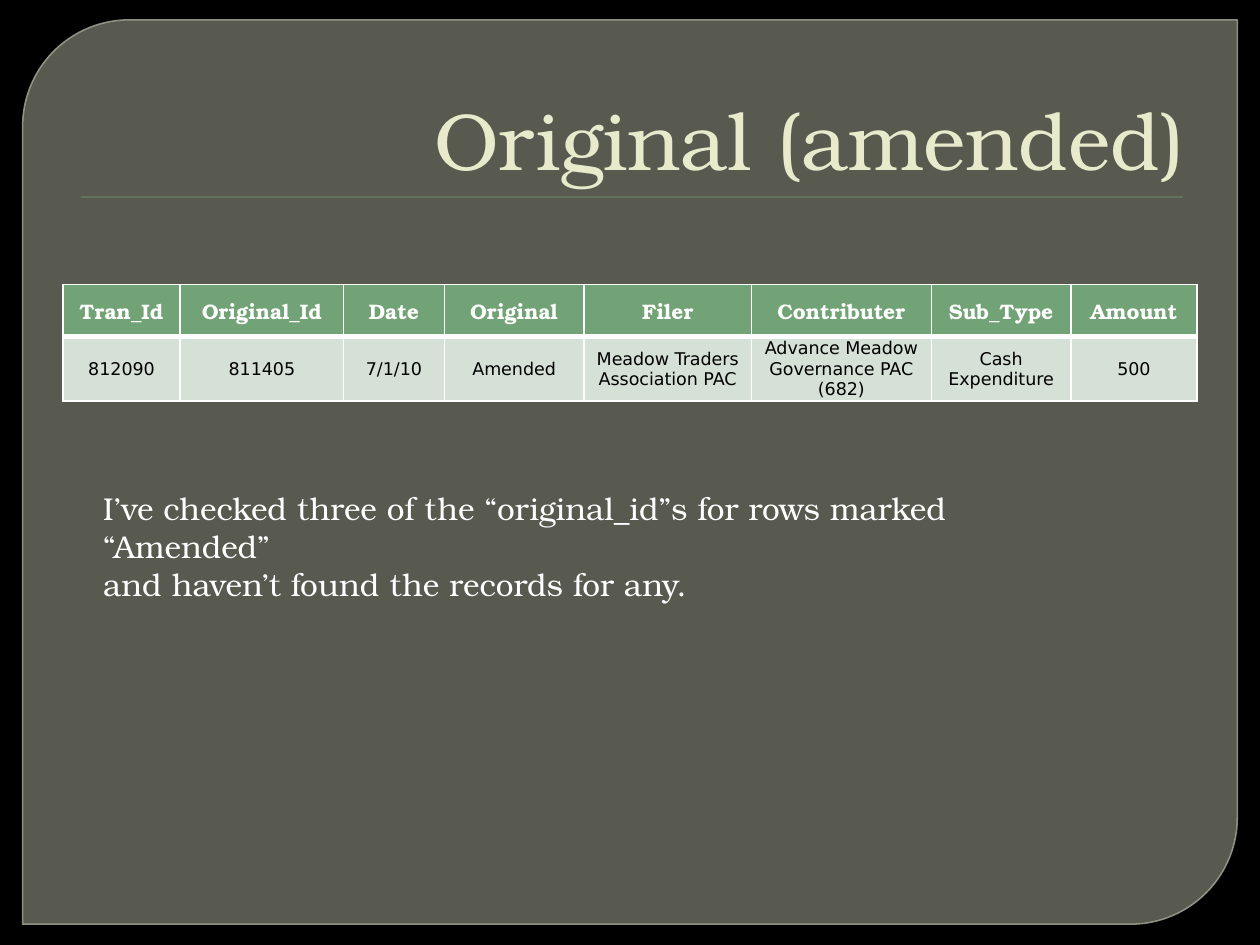
from lxml.etree import SubElement
from pptx import Presentation
from pptx.dml.color import RGBColor
from pptx.enum.shapes import MSO_SHAPE
from pptx.enum.text import MSO_ANCHOR, PP_ALIGN
from pptx.oxml.ns import qn
from pptx.util import Inches, Pt

WIDTH, HEIGHT = Inches(10), Inches(7.5)
COLORS = {
    "backdrop": "000000", "panel": "888B7B", "outline": "9DA090",
    "green": "72A376", "pale": "D5E0D6", "title": "E7EACB",
    "white": "FFFFFF", "black": "000000",
}
SERIF, SANS = "TeX Gyre Bonum", "DejaVu Sans"
FORMATS = {
    "title": {"size": Pt(46), "name": SERIF, "color": "title"},
    "note": {"size": Pt(18), "name": SERIF, "color": "white"},
    "header": {"size": Pt(12), "name": SERIF, "color": "white", "bold": True},
    "body": {"size": Pt(10), "name": SANS, "color": "black", "bold": False},
}
CELL_STYLES = {
    "header": {"fill": "green", "borders": {"L": 1, "R": 1, "T": 1, "B": 3}, "margins": {}},
    "body": {"fill": "pale", "borders": {"L": 1, "R": 1, "T": 3, "B": 1},
             "margins": {"margin_left": Inches(0.01), "margin_right": Inches(0.01),
                         "margin_top": Inches(0.01), "margin_bottom": 0}},
}
COLUMNS = [
    ("Tran_Id", "812090", 0.93), ("Original_Id", "811405", 1.3),
    ("Date", "7/1/10", 0.8), ("Original", "Amended", 1.11),
    ("Filer", "Meadow Traders Association PAC", 1.33),
    ("Contributer", "Advance Meadow Governance PAC (682)", 1.43),
    ("Sub_Type", "Cash Expenditure", 1.11), ("Amount", "500", 1),
]
NOTE = [
    "I’ve checked three of the “original_id”s for rows marked “Amended”",
    "and haven’t found the records for any.",
]
BOXES = {
    "panel": (0.018, 0.021, 0.964, 0.957),
    "rule": (0.064, 0.208, 0.875, 0.001),
    "title": (0.05, 0.037, 0.9, 0.167),
    "table": (0.05, 0.301, 0.9, 0.11),
    "note": (0.072, 0.511, 0.813, 0.095),
}


def place(name):
    """Turn a named box of slide shares into lengths."""
    left, top, width, height = BOXES[name]
    return int(left * WIDTH), int(top * HEIGHT), int(width * WIDTH), int(height * HEIGHT)


def color(name):
    """Look up a palette colour."""
    return RGBColor.from_string(COLORS[name])


def set_alpha(fill_owner, percent):
    """Make the solid colour of a fill or line partly transparent."""
    swatch = next(fill_owner.iter(qn("a:srgbClr")))
    SubElement(swatch, qn("a:alpha"), val=str(percent * 1000))


def write(frame, lines, style, alignment):
    """Write formatted paragraphs into a text frame."""
    for index, line in enumerate(lines):
        paragraph = frame.add_paragraph() if index else frame.paragraphs[0]
        paragraph.alignment = alignment
        run = paragraph.add_run()
        run.text = line
        for attribute, value in FORMATS[style].items():
            if attribute == "color":
                run.font.color.rgb = color(value)
            else:
                setattr(run.font, attribute, value)


def add_panel(slide, box):
    """Draw the translucent panel with two rounded corners."""
    shape = slide.shapes.add_shape(MSO_SHAPE.ROUND_2_DIAG_RECTANGLE, *box)
    shape.shadow.inherit = False
    shape.adjustments[0] = 0.118
    shape.adjustments[1] = 0
    shape.fill.solid()
    shape.fill.fore_color.rgb = color("panel")
    set_alpha(shape.element.spPr, 65)
    shape.line.color.rgb = color("outline")
    shape.line.width = Pt(0.87)
    set_alpha(shape.element.spPr.find(qn("a:ln")), 88)


def add_rule(slide, box):
    """Draw the thin bar under the title."""
    shape = slide.shapes.add_shape(MSO_SHAPE.RECTANGLE, *box)
    shape.shadow.inherit = False
    shape.fill.solid()
    shape.fill.fore_color.rgb = color("green")
    shape.line.fill.background()


def add_text(slide, box, lines, style, alignment, anchor):
    """Add a wrapping text box."""
    frame = slide.shapes.add_textbox(*box).text_frame
    frame.word_wrap = True
    frame.vertical_anchor = anchor
    write(frame, lines, style, alignment)


def style_cell(cell, text, style):
    """Fill one table cell with text, borders and colour."""
    settings = CELL_STYLES[style]
    write(cell.text_frame, [text], style, PP_ALIGN.CENTER)
    cell.vertical_anchor = MSO_ANCHOR.MIDDLE
    for attribute, value in settings["margins"].items():
        setattr(cell, attribute, value)
    properties = cell._tc.get_or_add_tcPr()
    for side, points in settings["borders"].items():
        line = SubElement(properties, qn(f"a:ln{side}"), w=str(Pt(points)))
        fill = SubElement(line, qn("a:solidFill"))
        SubElement(fill, qn("a:srgbClr"), val=COLORS["white"])
    cell.fill.solid()
    cell.fill.fore_color.rgb = color(settings["fill"])


def add_record_table(slide, box):
    """Add the table with one header row and one record."""
    table = slide.shapes.add_table(2, len(COLUMNS), *box).table
    total = sum(share for _, _, share in COLUMNS)
    for index, (heading, value, share) in enumerate(COLUMNS):
        table.columns[index].width = int(box[2] * share / total)
        style_cell(table.cell(0, index), heading, "header")
        style_cell(table.cell(1, index), value, "body")


def main():
    """Build the slide and save it."""
    presentation = Presentation()
    presentation.slide_width, presentation.slide_height = WIDTH, HEIGHT
    slide = presentation.slides.add_slide(presentation.slide_layouts[6])
    slide.background.fill.solid()
    slide.background.fill.fore_color.rgb = color("backdrop")
    add_panel(slide, place("panel"))
    add_rule(slide, place("rule"))
    add_text(slide, place("title"), ["Original (amended)"], "title",
             PP_ALIGN.RIGHT, MSO_ANCHOR.BOTTOM)
    add_record_table(slide, place("table"))
    add_text(slide, place("note"), NOTE, "note", PP_ALIGN.LEFT, MSO_ANCHOR.TOP)
    presentation.save("out.pptx")


if __name__ == "__main__":
    main()
